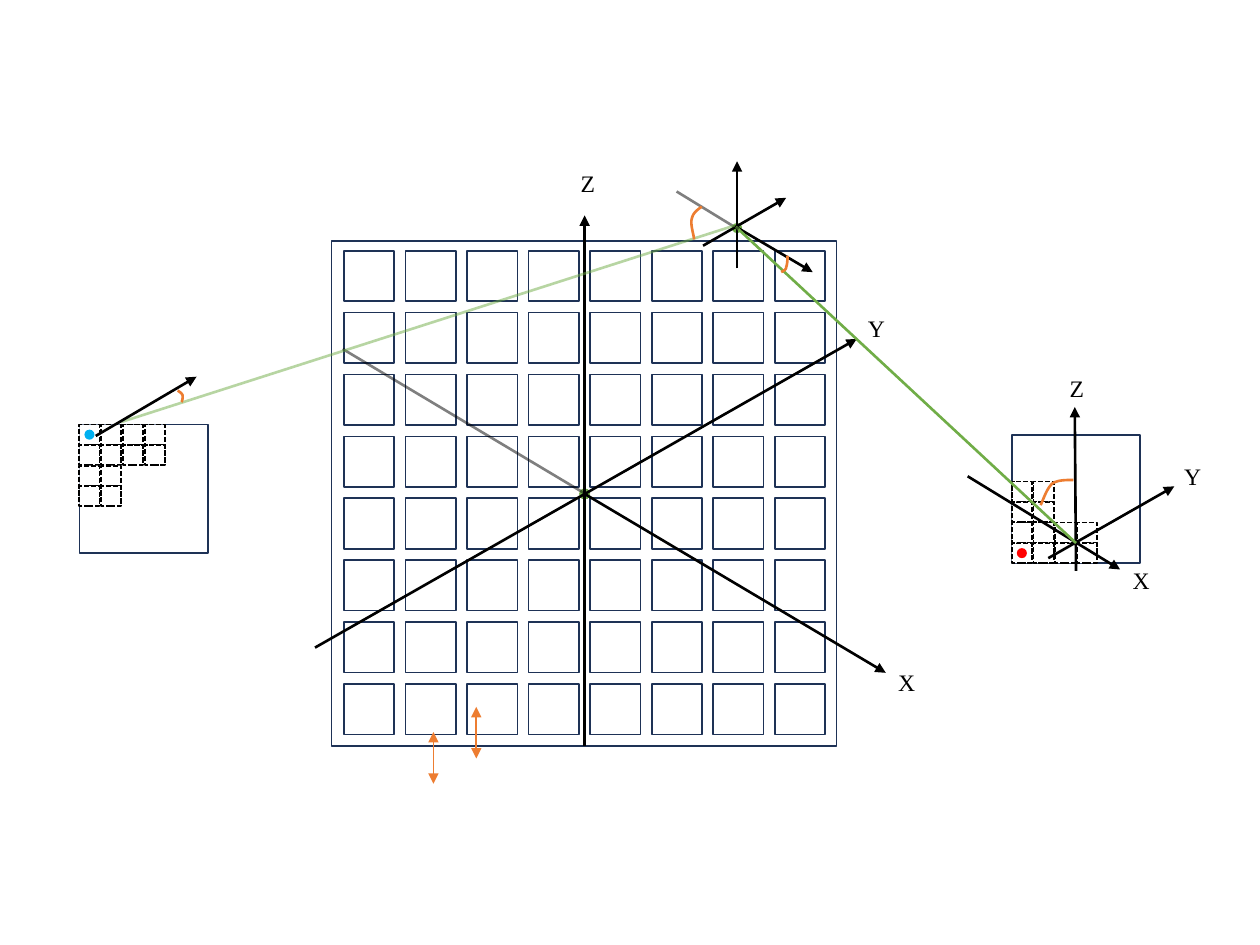
import pptx
import pptx.dml.color
import pptx.enum.dml
import pptx.enum.shapes
import pptx.enum.text
import pptx.oxml.ns
import pptx.util
from lxml import etree

WIDTH, HEIGHT = 10, 7.5
BLACK, NAVY, WHITE, GREEN, ORANGE = "000000", "1E3256", "FFFFFF", "70AD47", "ED7D31"
LABEL_SIZE = (0.31, 0.33)
LABEL_FONT = {"name": "Times New Roman", "size": pptx.util.Pt(13.5)}
LABEL_FRAME = {"word_wrap": False, "auto_size": pptx.enum.text.MSO_AUTO_SIZE.SHAPE_TO_FIT_TEXT}

AXIS = {"color": BLACK, "tail": True}
HIDDEN_AXIS = {"color": BLACK, "alpha": 50}
RAY = {"color": GREEN}
HIDDEN_RAY = {"color": GREEN, "alpha": 50}
SPACING = {"color": ORANGE, "width": 1, "head": True, "tail": True}

SURFACE = {
    "panel": (2.63, 1.91, 4.01),
    "grid": {"origin": (2.73, 1.99), "pitch": (0.4885, 0.4914), "side": 0.4,
             "rows": [8] * 8, "color": NAVY},
    "dots": [(4.6, 3.88, ("81B861", "62A336"))],
    "lines": [
        ((2.5, 5.14), (6.8, 2.69), AXIS),
        ((4.64, 5.92), (4.64, 1.71), AXIS),
        ((4.64, 3.92), (7.03, 5.34), AXIS),
        ((3.44, 5.81), (3.44, 6.22), SPACING),
        ((3.78, 5.61), (3.78, 6.02), SPACING),
        ((2.72, 2.77), (4.63, 3.91), HIDDEN_AXIS),
    ],
    "labels": [("X", 7.03, 5.25), ("Y", 6.79, 2.44), ("Z", 4.51, 1.29)],
}
RECEIVER = {
    "panel": (8.03, 3.45, 1.02),
    "grid": {"origin": (8.03, 4.31), "pitch": (0.173, -0.163), "side": 0.16,
             "rows": [4, 4, 2, 2], "color": BLACK, "dashed": True},
    "dots": [(8.07, 4.35, ("FF0000",))],
    "lines": [
        ((8.54, 4.53), (8.53, 3.23), AXIS),
        ((8.32, 4.43), (9.32, 3.86), AXIS),
        ((7.68, 3.78), (8.89, 4.52), AXIS),
    ],
    "arcs": [[(8.26, 4.01), (8.29, 3.94), (8.31, 3.88), (8.35, 3.84),
              (8.39, 3.81), (8.46, 3.81), (8.52, 3.81)]],
    "labels": [("X", 8.89, 4.44), ("Y", 9.3, 3.62), ("Z", 8.39, 2.92)],
}
REFLECTION = {
    "dots": [(5.81, 1.77, (GREEN,))],
    "lines": [
        ((5.84, 1.8), (6.45, 2.16), AXIS),
        ((5.58, 1.95), (6.24, 1.57), AXIS),
        ((5.85, 2.13), (5.85, 1.28), AXIS),
        ((5.84, 1.8), (8.54, 4.31), RAY),
        ((5.37, 1.52), (5.86, 1.82), HIDDEN_AXIS),
        ((5.83, 1.79), (0.96, 3.35), HIDDEN_RAY),
    ],
    "arcs": [
        [(6.25, 2.03), (6.25, 2.06), (6.25, 2.09), (6.24, 2.12),
         (6.24, 2.14), (6.22, 2.15), (6.2, 2.16)],
        [(5.51, 1.9), (5.5, 1.84), (5.48, 1.78), (5.49, 1.74),
         (5.5, 1.69), (5.53, 1.67), (5.57, 1.64)],
    ],
}
TRANSMITTER = {
    "panel": (0.63, 3.37, 1.02),
    "grid": {"origin": (0.63, 3.37), "pitch": (0.173, 0.163), "side": 0.16,
             "rows": [4, 4, 2, 2], "color": BLACK, "dashed": True},
    "dots": [(0.67, 3.41, ("00B0F0",))],
    "lines": [((0.76, 3.46), (1.56, 2.99), AXIS)],
    "arcs": [[(1.41, 3.1), (1.43, 3.11), (1.45, 3.13), (1.45, 3.14),
              (1.45, 3.16), (1.45, 3.18), (1.44, 3.19)]],
}
SCENES = [SURFACE, RECEIVER, REFLECTION, TRANSMITTER]


def rgb(color):
    return pptx.dml.color.RGBColor.from_string(color)


def inches(*values):
    return [pptx.util.Inches(value) for value in values]


def set_line(line, color, width=1.5, dashed=False):
    line.color.rgb = rgb(color)
    line.width = pptx.util.Pt(width)
    if dashed:
        line.dash_style = pptx.enum.dml.MSO_LINE.SQUARE_DOT


def add_square(shapes, left, top, side, color, filled=True, dashed=False):
    square = shapes.add_shape(pptx.enum.shapes.MSO_SHAPE.RECTANGLE, *inches(left, top, side, side))
    square.shadow.inherit = False
    if filled:
        square.fill.solid()
        square.fill.fore_color.rgb = rgb(WHITE)
    else:
        square.fill.background()
    set_line(square.line, color, 1, dashed)


def add_grid(shapes, origin, pitch, side, rows, color, dashed=False):
    for row, count in enumerate(rows):
        for column in range(count):
            left, top = origin[0] + column * pitch[0], origin[1] + row * pitch[1]
            add_square(shapes, left, top, side, color, dashed=dashed)


def add_dot(shapes, left, top, colors):
    dot = shapes.add_shape(pptx.enum.shapes.MSO_SHAPE.OVAL, *inches(left, top, 0.08, 0.08))
    dot.shadow.inherit = False
    if len(colors) == 1:
        dot.fill.solid()
        dot.fill.fore_color.rgb = rgb(colors[0])
        dot.line.fill.background()
        return
    dot.fill.gradient()
    dot.fill.gradient_angle = 270
    for stop, color in zip(dot.fill.gradient_stops, colors):
        stop.color.rgb = rgb(color)
    set_line(dot.line, GREEN, 0.5)


def add_line(shapes, start, end, color, width=1.5, alpha=None, head=False, tail=False):
    line = shapes.add_connector(pptx.enum.shapes.MSO_CONNECTOR.STRAIGHT, *inches(*start, *end))
    set_line(line.line, color, width)
    qn = pptx.oxml.ns.qn
    properties = line.line._get_or_add_ln()
    if alpha:
        tint = properties.find(".//" + qn("a:srgbClr"))
        etree.SubElement(tint, qn("a:alpha"), val=str(alpha * 1000))
    for tag, shown in (("a:headEnd", head), ("a:tailEnd", tail)):
        if shown:
            etree.SubElement(properties, qn(tag), type="triangle")
    etree.SubElement(line._element.spPr, qn("a:effectLst"))


def curve_points(controls, steps=12):
    points = [controls[0]]
    for first in range(0, len(controls) - 1, 3):
        for step in range(1, steps + 1):
            t = step / steps
            weights = ((1 - t) ** 3, 3 * t * (1 - t) ** 2, 3 * t ** 2 * (1 - t), t ** 3)
            corners = zip(*controls[first:first + 4])
            points.append(tuple(sum(w * v for w, v in zip(weights, axis)) for axis in corners))
    return points


def add_arc(shapes, controls):
    start, *points = [inches(*point) for point in curve_points(controls)]
    builder = shapes.build_freeform(*start)
    builder.add_line_segments(points, close=False)
    arc = builder.convert_to_shape()
    arc.shadow.inherit = False
    arc.fill.background()
    set_line(arc.line, ORANGE)


def add_label(shapes, text, left, top):
    frame = shapes.add_textbox(*inches(left, top, *LABEL_SIZE)).text_frame
    for name, value in LABEL_FRAME.items():
        setattr(frame, name, value)
    para = frame.paragraphs[0]
    para.alignment = pptx.enum.text.PP_ALIGN.CENTER
    span = para.add_run()
    span.text = text
    for name, value in LABEL_FONT.items():
        setattr(span.font, name, value)
    span.font.color.rgb = rgb(BLACK)


def add_scene(page, scene):
    shapes = page.shapes.add_group_shape().shapes
    if "panel" in scene:
        add_square(shapes, *scene["panel"], NAVY, filled=scene is SURFACE)
    if "grid" in scene:
        add_grid(shapes, **scene["grid"])
    for dot in scene["dots"]:
        add_dot(shapes, *dot)
    for start, end, style in scene["lines"]:
        add_line(shapes, start, end, **style)
    for controls in scene.get("arcs", []):
        add_arc(shapes, controls)
    for label in scene.get("labels", []):
        add_label(shapes, *label)


def main():
    """Build the slide of a reflecting surface between a transmitter and a receiver."""
    deck = pptx.Presentation()
    deck.slide_width, deck.slide_height = inches(WIDTH, HEIGHT)
    page = deck.slides.add_slide(deck.slide_layouts[6])
    for scene in SCENES:
        add_scene(page, scene)
    deck.save("out.pptx")


if __name__ == "__main__":
    main()
